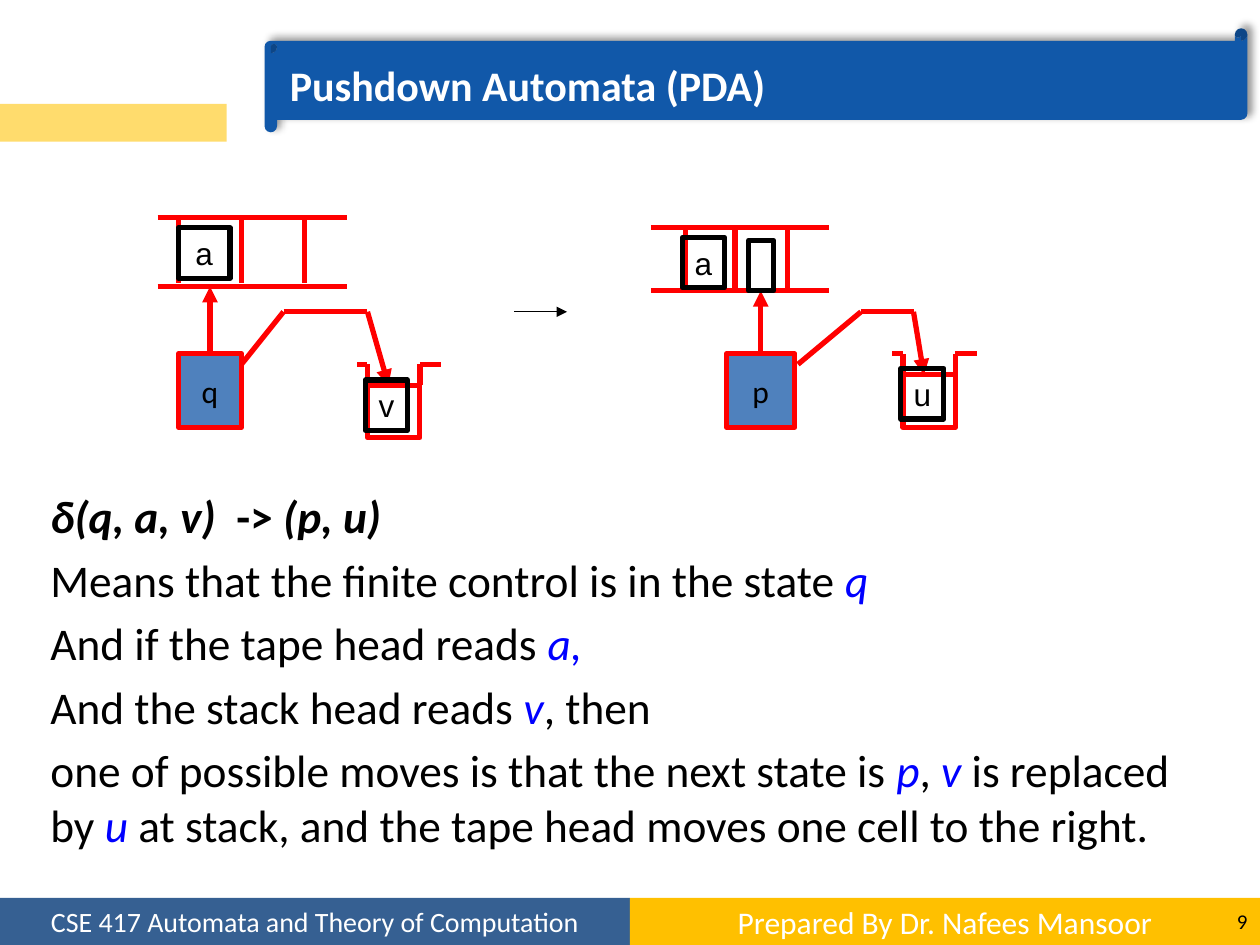
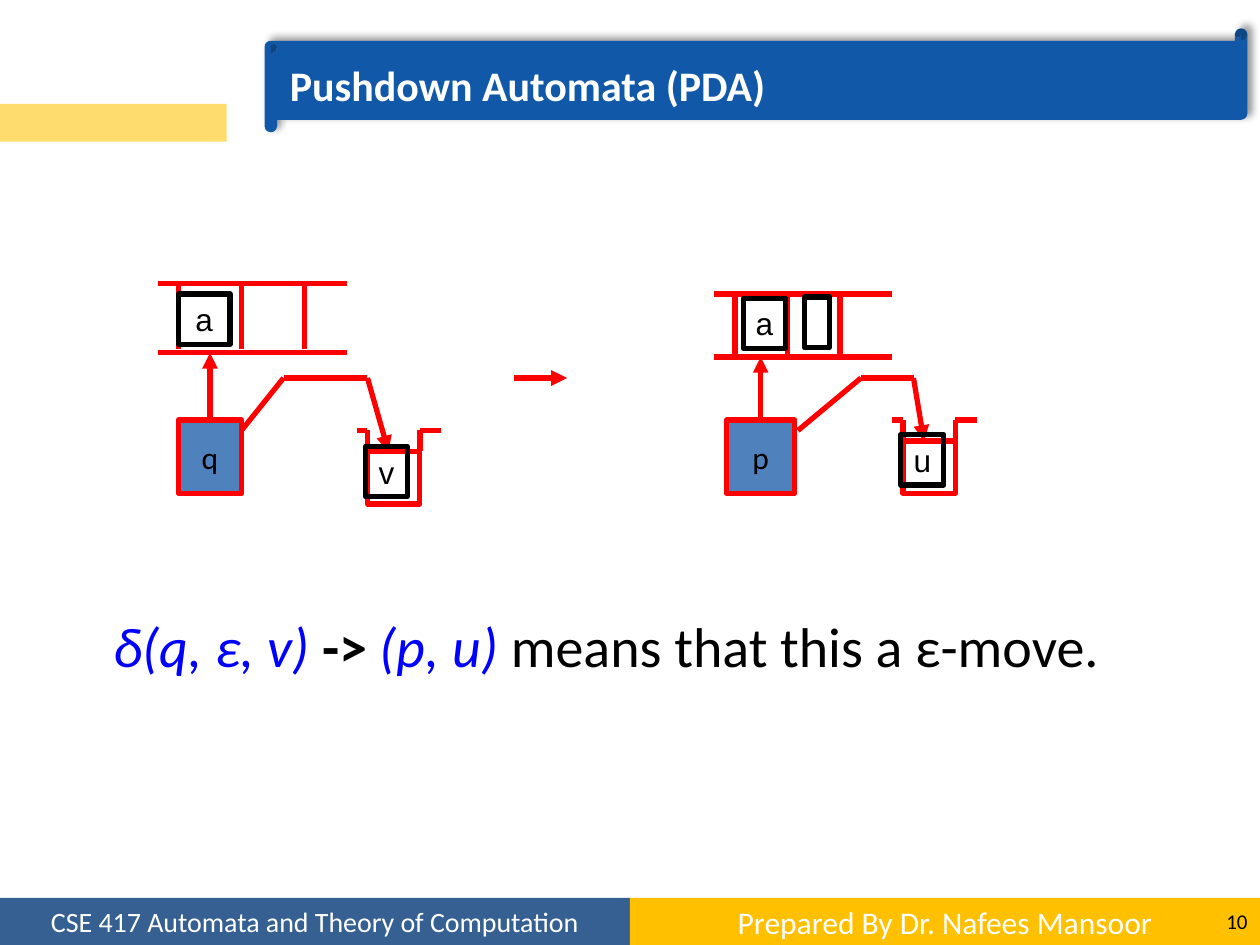
import lxml.etree
import pptx
import pptx.dml.color
import pptx.enum.shapes
import pptx.enum.text
import pptx.oxml
import pptx.oxml.ns
import pptx.util

RGB = pptx.dml.color.RGBColor
WHITE = RGB(0xFF, 0xFF, 0xFF)
BLACK = RGB(0, 0, 0)
RED = RGB(0xFF, 0, 0)
BLUE = RGB(0, 0, 0xFF)
STEEL = RGB(0x4F, 0x81, 0xBD)
NAVY = RGB(0x36, 0x60, 0x92)
GOLD = RGB(0xFF, 0xC0, 0)
SAND = RGB(0xFF, 0xDC, 0x6D)
ROYAL = RGB(0x11, 0x58, 0xA9)

WIDE, HIGH = pptx.util.Inches(10), pptx.util.Inches(7.5)
CELL = WIDE / 120  # grid of 120 columns by 90 rows
KIND = pptx.enum.shapes.MSO_SHAPE
ALIGN = pptx.enum.text.PP_ALIGN
MID = pptx.enum.text.MSO_ANCHOR.MIDDLE

# Run styles: colour, bold, italic
PLAIN = (BLACK, False, False)
BOLD = (BLACK, True, False)
SLANT = (BLACK, True, True)
VAR = (BLUE, False, True)


def share(x, y, w, h):
    """Turn shares of the slide into a box of lengths."""
    return int(x * WIDE), int(y * HIGH), int(w * WIDE), int(h * HIGH)


def grid(box, col, row):
    """Place a grid point relative to the corner of a box."""
    return int(box[0] + col * CELL), int(box[1] + row * CELL)


def write(para, text, size, style=PLAIN, face="Calibri"):
    run = para.add_run()
    run.text = text
    font = run.font
    font.name, font.size = face, pptx.util.Pt(size)
    font.color.rgb, font.bold, font.italic = style


def block(slide, box, fill=None, edge=None, kind=KIND.RECTANGLE):
    shape = slide.shapes.add_shape(kind, *box)
    shape.shadow.inherit = False
    if fill is None:
        shape.fill.background()
    else:
        shape.fill.solid()
        shape.fill.fore_color.rgb = fill
    if edge is None:
        shape.line.fill.background()
    else:
        shape.line.color.rgb = edge
        shape.line.width = pptx.util.Pt(3)
    return shape


def label(shape, text, size, ink=BLACK, face="Calibri", wrap=True):
    frame = shape.text_frame
    frame.word_wrap, frame.vertical_anchor = wrap, MID
    para = frame.paragraphs[0]
    para.alignment = ALIGN.CENTER
    write(para, text, size, (ink, False, False), face)


def frame_box(slide, box, col, row, w, h, fill=None, edge=RED):
    """Draw a rectangle on the grid of a box."""
    size = int(w * CELL), int(h * CELL)
    return block(slide, grid(box, col, row) + size, fill, edge)


def symbol(slide, box, text, col, row, w=4):
    shape = frame_box(slide, box, col, row, w, 4.8, edge=BLACK)
    if text:
        label(shape, text, 18, face="Arial", wrap=False)


def line(slide, box, start, end, arrow=False, ink=RED, width=3):
    link = slide.shapes.add_connector(
        pptx.enum.shapes.MSO_CONNECTOR.STRAIGHT,
        *grid(box, *start), *grid(box, *end))
    link.line.color.rgb = ink
    link.line.width = pptx.util.Pt(width)
    if arrow:
        tip = lxml.etree.SubElement(
            link.line._get_or_add_ln(), pptx.oxml.ns.qn("a:tailEnd"))
        tip.set("type", "triangle")
    lxml.etree.SubElement(
        link._element.spPr, pptx.oxml.ns.qn("a:effectLst"))
    return link


def tape(slide, box, left, top, width, base, foot, ticks):
    """Draw two rails, with cell walls from the top rail down to foot."""
    for row in (top, base):
        line(slide, box, (left, row), (left + width, row))
    for col in ticks:
        line(slide, box, (col, top), (col, foot))


def stack(slide, box, col, row):
    """Draw an open bin whose lips stand two rows above it."""
    frame_box(slide, box, col, row, 5, 5)
    lip = row - 2
    for side, edge in ((col, col - 1), (col + 5, col + 7)):
        line(slide, box, (side, row), (side, lip))
        line(slide, box, (side, lip), (edge, lip))


def control(slide, box, state, col, w, base, arm):
    """Draw the state box, its head on the tape and its arm to the stack."""
    core = frame_box(slide, box, col, 13, w, 7, STEEL)
    label(core, state, 18)
    mid = col + w / 2
    head = line(slide, box, (mid, 13), (mid, base), True)
    head.begin_connect(core, 0)
    for step, (start, end) in enumerate(zip(arm, arm[1:])):
        line(slide, box, start, end, step == len(arm) - 2)


def before(slide, box):
    tape(slide, box, 0, 0, 18, 6.6, 6.25, (2, 8, 14))
    control(slide, box, "q", 2, 6, 6.6, [(8, 14), (12, 9), (20, 9), (22, 16)])
    stack(slide, box, 20, 16)
    symbol(slide, box, "a", 2, 1, 4.9)
    symbol(slide, box, "v", 19.8, 15.5)


def after(slide, box, left, ticks, read, blank):
    tape(slide, box, left, 1, 17, 7, 7, ticks)
    control(slide, box, "p", 1.2, 6.5, 7, [(8, 14), (14, 9), (19, 9), (20, 15)])
    stack(slide, box, 18, 15)
    symbol(slide, box, "a", *read)
    symbol(slide, box, "", *blank, 2.4)
    symbol(slide, box, "u", 17.8, 14.4, 4.1)


def move(slide, top, ink, width, **cells):
    """Draw the machine before and after one move, with an arrow between."""
    y = top * HIGH
    before(slide, (15 * CELL, y))
    line(slide, (49 * CELL, y), (0, 9), (5, 9), True, ink, width)
    after(slide, (68 * CELL, y), **cells)


def footer(slide, number):
    bands = ((0, NAVY, "CSE 417 Automata and Theory of Computation", 16),
             (0.5, GOLD, "Prepared By Dr. Nafees Mansoor", 18))
    for left, fill, text, size in bands:
        band = block(slide, share(left, 0.95, 0.5, 0.05), fill)
        label(band, text, size, WHITE)
    note = slide.shapes.add_textbox(*share(0.93, 0.95, 0.07, 0.05))
    label(note, str(number), 12)
    note.text_frame.paragraphs[0].alignment = ALIGN.RIGHT


def shade(shape):
    """Give a shape a soft shadow up and to the right."""
    space = pptx.oxml.ns.nsdecls("a")
    glow = pptx.oxml.parse_xml(
        f'<a:outerShdw {space} blurRad="50800" dist="38100" dir="18900000" '
        'algn="bl" rotWithShape="0"><a:srgbClr val="000000">'
        '<a:alpha val="40000"/></a:srgbClr></a:outerShdw>')
    shape._element.spPr.find(pptx.oxml.ns.qn("a:effectLst")).append(glow)


def place(holder, box):
    holder.left, holder.top, holder.width, holder.height = box
    frame = holder.text_frame
    frame.word_wrap = True
    frame.auto_size = pptx.enum.text.MSO_AUTO_SIZE.NONE
    return frame


def header(slide, text):
    block(slide, share(0, 0.11, 0.18, 0.04), SAND)
    scroll = block(slide, share(0.21, 0.03, 0.78, 0.11), ROYAL,
                   kind=KIND.HORIZONTAL_SCROLL)
    scroll.adjustments[0] = 0.12
    shade(scroll)
    title = slide.shapes.title
    frame = place(title, share(0.22, 0.05, 0.76, 0.08))
    frame.vertical_anchor = MID
    para = frame.paragraphs[0]
    para.alignment = ALIGN.LEFT
    write(para, text, 24, (WHITE, True, False))
    slide.shapes._spTree.append(title._element)  # in front of the scroll


def body(slide, box, size, paras):
    frame = place(slide.placeholders[1], box)
    for count, runs in enumerate(paras):
        para = frame.add_paragraph() if count else frame.paragraphs[0]
        props = para._p.get_or_add_pPr()
        props.set("marL", "0")
        props.set("indent", "0")
        lxml.etree.SubElement(props, pptx.oxml.ns.qn("a:buNone"))
        para.space_before = pptx.util.Pt(0.2 * size if count else 0)
        for text, style in runs:
            write(para, text, size, style)


def page(deck, number):
    slide = deck.slides.add_slide(deck.slide_layouts[1])
    footer(slide, number)
    header(slide, "Pushdown Automata (PDA)")
    return slide


def read_move(deck):
    slide = page(deck, 9)
    body(slide, share(0.03, 0.51, 0.95, 0.44), 25.9, [
        [("δ(q, a, v) ", SLANT), (" -> ", BOLD), ("(p, u)", SLANT)],
        [("Means that the finite control is in the state ", PLAIN),
         ("q", VAR)],
        [("And if the tape head reads ", PLAIN), ("a,", VAR)],
        [("And the stack head reads ", PLAIN), ("v", VAR),
         (", then", PLAIN)],
        [("one of possible moves is that the next state is ", PLAIN),
         ("p", VAR), (", ", PLAIN), ("v", VAR), (" is replaced by ", PLAIN),
         ("u", VAR),
         (" at stack, and the tape head moves one cell to the right.",
          PLAIN)],
    ])
    move(slide, 0.23, BLACK, 0.75, left=-6, ticks=(-2.7, 2, 7),
         read=(-3, 1.9), blank=(3.3, 2.2))


def empty_move(deck):
    slide = page(deck, 10)
    body(slide, share(0.08, 0.64, 0.89, 0.12), 32, [
        [("δ(q, ε, v) ", VAR), ("->", BOLD), (" (p, u)", VAR),
         (" means that this a ε-move.", PLAIN)],
    ])
    move(slide, 0.3, RED, 3, left=0, ticks=(2, 7, 12),
         read=(2.8, 1.4), blank=(8.6, 1.3))


def main():
    deck = pptx.Presentation()
    deck.slide_width, deck.slide_height = WIDE, HIGH
    read_move(deck)
    empty_move(deck)
    deck.save("out.pptx")


if __name__ == "__main__":
    main()
